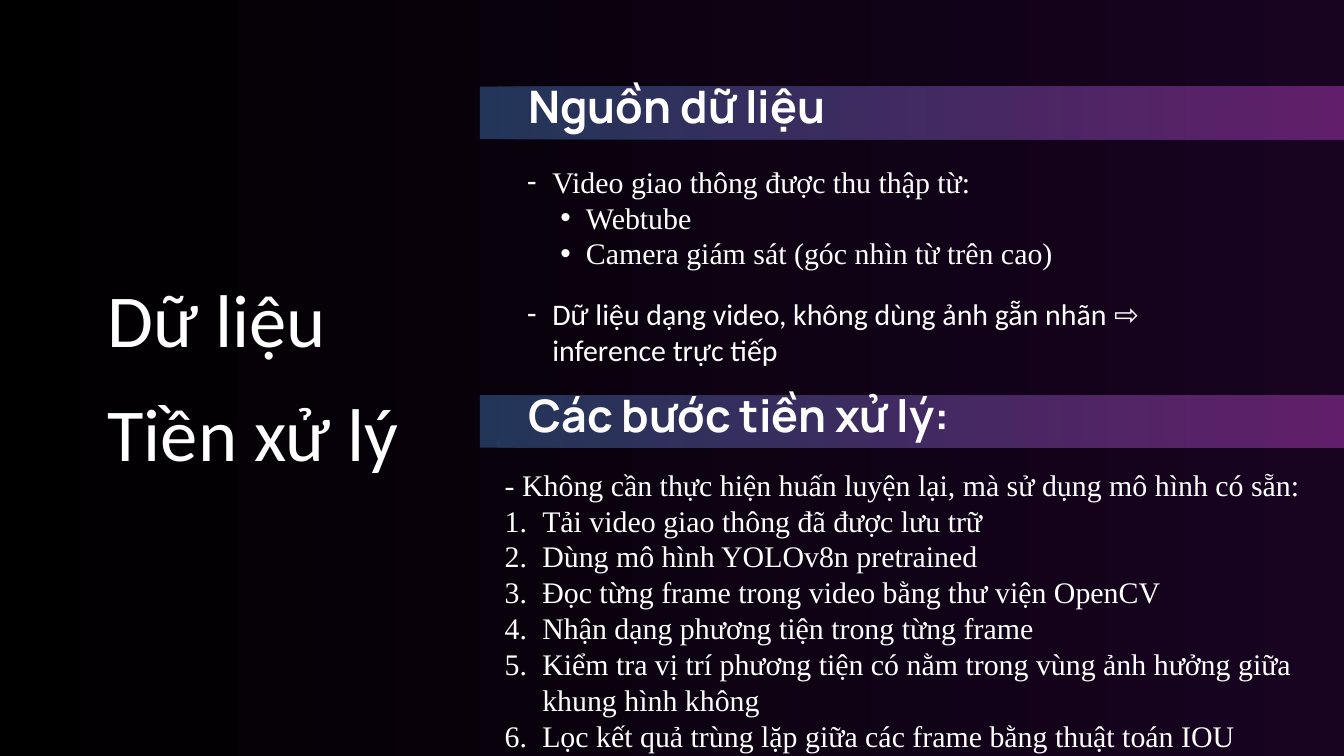
from lxml import etree
from pptx import Presentation
from pptx.dml.color import RGBColor
from pptx.enum.shapes import MSO_SHAPE as Shape
from pptx.enum.text import MSO_AUTO_SIZE as AutoSize
from pptx.oxml.ns import qn
from pptx.util import Inches, Pt


def color(value):
    return RGBColor.from_string(value)


def add_text(shapes, box, paragraphs, spacing=None, **font_values):
    """Add a text box; each paragraph is (text, level, left, hanging, bullet)."""
    frame = shapes.add_textbox(*[Inches(length) for length in box]).text_frame
    frame_values = dict(word_wrap=True, auto_size=AutoSize.SHAPE_TO_FIT_TEXT,
                        margin_left=0, margin_top=0, margin_right=0, margin_bottom=0)
    for name, value in frame_values.items():
        setattr(frame, name, value)
    for index, (text, level, left, hanging, bullet) in enumerate(paragraphs):
        paragraph = frame.add_paragraph() if index else frame.paragraphs[0]
        paragraph.text = text
        paragraph.level = level
        if bullet:
            properties = paragraph._p.get_or_add_pPr()
            properties.set("marL", str(Inches(left)))
            properties.set("indent", str(-Inches(hanging)))
            if bullet == "1.":
                etree.SubElement(properties, qn("a:buAutoNum"), type="arabicPeriod")
            else:
                etree.SubElement(properties, qn("a:buFont"), typeface="Arial")
                etree.SubElement(properties, qn("a:buChar"), char=bullet)
        paragraph.line_spacing = spacing
        for run in paragraph.runs:
            run.font.color.rgb = color("FFFFFF")
            for name, value in font_values.items():
                setattr(run.font, name, value)


presentation = Presentation()
presentation.slide_width = Inches(20)
presentation.slide_height = Inches(11.25)
slide = presentation.slides.add_slide(presentation.slide_layouts[6])

# Background
background = slide.background.fill
background.gradient()
background.gradient_angle = 0
for stop, position, value in zip(background.gradient_stops, (0, 1), ("000000", "180321")):
    stop.position = position
    stop.color.rgb = color(value)

# Title
add_text(slide.shapes, (1.6, 3.69, 5.76, 3.29),
         [("Dữ liệu \vTiền xử lý", 0, 0, 0, None)], Pt(122.4),
         name="Calibri", size=Pt(80))

# Section headings on translucent bars that run past the right edge
for heading, top, width in [("Nguồn dữ liệu", 1.29, 5.76),
                            ("Các bước tiền xử lý:", 5.88, 7.39)]:
    group = slide.shapes.add_group_shape()
    bar = group.shapes.add_shape(Shape.RECTANGLE, Inches(7.14), Inches(top),
                                 Inches(15.59), Inches(0.78))
    bar.shadow.inherit = False
    bar.line.fill.background()
    bar.fill.gradient()
    bar.fill.gradient_angle = 0
    for stop, position, value in zip(bar.fill.gradient_stops, (0, 1), ("365E93", "AF2BA5")):
        stop.position = position
        stop.color.rgb = color(value)
    for rgb in bar._element.spPr.iter(qn("a:srgbClr")):
        etree.SubElement(rgb, qn("a:alpha"), val="56000")
    add_text(group.shapes, (7.86, top + 0.31, width, 0.44),
             [(heading, 0, 0, 0, None)], Pt(27.2),
             name="Manrope", size=Pt(48), bold=True)

# Data sources
add_text(slide.shapes, (7.84, 2.43, 10.16, 2.15), [
    ("Video giao thông được thu thập từ:", 0, 0.38, 0.38, "-"),
    ("Webtube", 1, 0.88, 0.38, "•"),
    ("Camera giám sát (góc nhìn từ trên cao)", 1, 0.88, 0.38, "•"),
], name="Times New Roman", size=Pt(32))
add_text(slide.shapes, (7.84, 4.4, 10.16, 1.08), [
    ("Dữ liệu dạng video, không dùng ảnh gẵn nhãn ⇨ inference trực tiếp",
     0, 0.38, 0.38, "-"),
], name="Calibri", size=Pt(32))

# Preprocessing steps
steps = [
    "Tải video giao thông đã được lưu trữ",
    "Dùng mô hình YOLOv8n pretrained",
    "Đọc từng frame trong video bằng thư viện OpenCV",
    "Nhận dạng phương tiện trong từng frame",
    "Kiểm tra vị trí phương tiện có nằm trong vùng ảnh hưởng giữa khung hình không",
    "Lọc kết quả trùng lặp giữa các frame bằng thuật toán IOU",
]
introduction = "- Không cần thực hiện huấn luyện lại, mà sử dụng mô hình có sẵn:"
add_text(slide.shapes, (7.51, 6.94, 12.23, 4.31),
         [(introduction, 0, 0, 0, None)] + [(step, 0, 0.56, 0.56, "1.") for step in steps],
         name="Times New Roman", size=Pt(32))

presentation.save("out.pptx")
